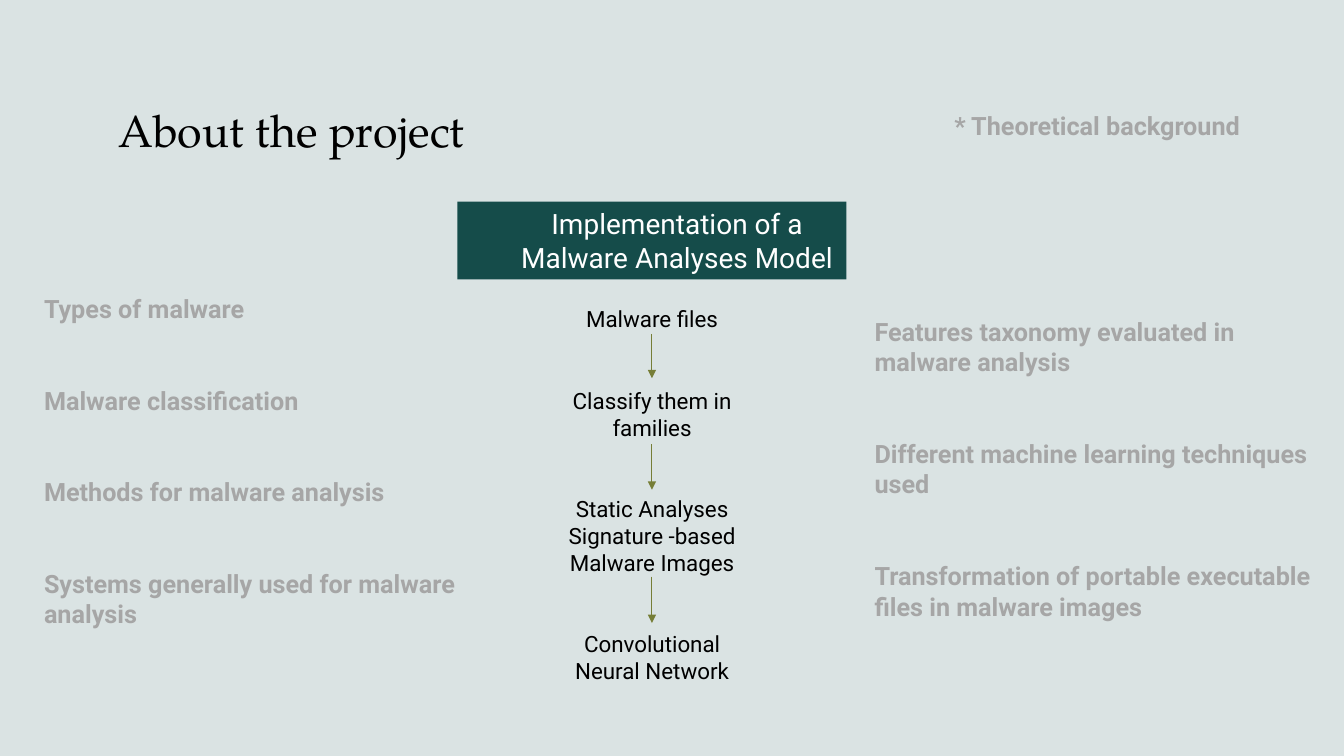
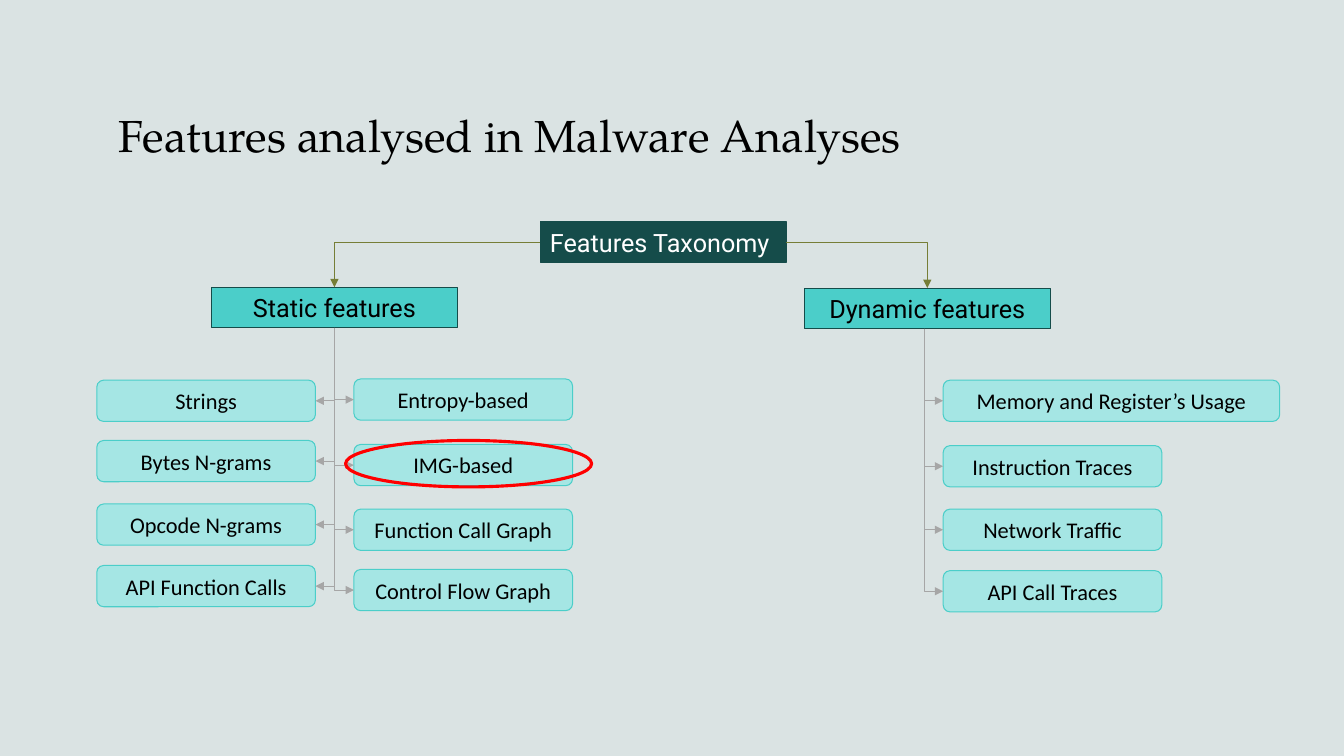
"""Two slides on malware analysis: project overview and feature taxonomy."""
from lxml import etree
from pptx import Presentation
from pptx.dml.color import RGBColor
from pptx.enum.shapes import MSO_CONNECTOR, MSO_SHAPE
from pptx.enum.text import MSO_ANCHOR, MSO_AUTO_SIZE, PP_ALIGN
from pptx.oxml.ns import qn
from pptx.util import Cm, Pt

RECT, ROUND, OVAL = MSO_SHAPE.RECTANGLE, MSO_SHAPE.ROUNDED_RECTANGLE, MSO_SHAPE.OVAL
STRAIGHT, ELBOW = MSO_CONNECTOR.STRAIGHT, MSO_CONNECTOR.ELBOW
LEFT, CENTER = PP_ALIGN.LEFT, PP_ALIGN.CENTER
BOTTOM, MIDDLE = MSO_ANCHOR.BOTTOM, MSO_ANCHOR.MIDDLE
NO_FIT = MSO_AUTO_SIZE.NONE

BACKGROUND = RGBColor(0xDA, 0xE3, 0xE3)
DARK_TEAL = RGBColor(0x15, 0x4C, 0x4A)
TEAL = RGBColor(0x4B, 0xCE, 0xC9)
PALE_TEAL = RGBColor(0xA5, 0xE6, 0xE4)
OLIVE = RGBColor(0x76, 0x7E, 0x37)
GRAY = RGBColor(0xA6, 0xA6, 0xA6)
RED = RGBColor(0xFF, 0x00, 0x00)
BLACK = RGBColor(0x00, 0x00, 0x00)
WHITE = RGBColor(0xFF, 0xFF, 0xFF)
TITLE_FONT, BODY_FONT, LEAF_FONT = "TeX Gyre Pagella", "Roboto", "Calibri"

PROJECT_TITLE = "About the project"
MODEL = "Implementation of a Malware Analyses Model"
STEPS = [
    ["Malware files"],
    ["Classify them in families"],
    ["Static Analyses", "Signature -based", "Malware Images"],
    ["Convolutional Neural Network"],
]
STEP_ARROWS = [(8.41, 9.53), (11.2, 12.34), (14.53, 15.7)]
THEORY_HEADING = [["* Theoretical background"]]
THEORY_LEFT = [
    ["Types of malware"],
    ["Malware classification"],
    ["Methods for malware analysis"],
    ["Systems generally used for malware analysis"],
]
THEORY_RIGHT = [
    ["Features taxonomy evaluated in malware analysis"],
    ["Different machine learning techniques used"],
    ["Transformation of portable executable files in malware images"],
]

TAXONOMY_TITLE = "Features analysed in Malware Analyses"
ROOT = "Features Taxonomy"
ROOT_BOX = (13.61, 5.59, 6.2, 1.02)
BRANCH_W, BRANCH_H = 6.2, 1.02
LEAF_W, WIDE_LEAF_W, LEAF_H = 5.51, 8.48, 1.04
BRANCHES = [
    {"name": "Static features", "left": 5.33, "top": 7.24, "trunk": 8.43, "columns": [
        (2.44, [("Strings", 9.58, LEAF_W), ("Bytes N-grams", 11.1, LEAF_W),
                ("Opcode N-grams", 12.7, LEAF_W), ("API Function Calls", 14.25, LEAF_W)]),
        (8.92, [("Entropy-based", 9.55, LEAF_W), ("IMG-based", 11.2, LEAF_W),
                ("Function Call Graph", 12.83, LEAF_W), ("Control Flow Graph", 14.35, LEAF_W)]),
    ]},
    {"name": "Dynamic features", "left": 20.27, "top": 7.26, "trunk": 23.29, "columns": [
        (23.77, [("Memory and Register’s Usage", 9.58, WIDE_LEAF_W),
                 ("Instruction Traces", 11.23, LEAF_W),
                 ("Network Traffic", 12.83, LEAF_W), ("API Call Traces", 14.38, LEAF_W)]),
    ]},
]
HIGHLIGHT = (8.71, 11.1, 6.2, 1.17)


def add_run(p, text, font, size, color, bold=False):
    """Add one formatted run to a paragraph."""
    r = p.add_run()
    r.text = text
    r.font.name, r.font.size, r.font.bold = font, Pt(size), bold
    r.font.color.rgb = color


def add_slide(prs, title, top):
    """Add a title-only slide with the shared title style."""
    s = prs.slides.add_slide(prs.slide_layouts[5])
    sp = s.shapes.title
    sp.left, sp.top, sp.width, sp.height = Cm(2.74), Cm(top), Cm(28.37), Cm(3.1)
    tf = sp.text_frame
    tf.auto_size, tf.vertical_anchor = NO_FIT, BOTTOM
    p = tf.paragraphs[0]
    p.alignment = LEFT
    add_run(p, title, TITLE_FONT, 32, BLACK)
    return s


def add_groups(s, box, groups, size, color, gap=0, align=LEFT, bold=False):
    """Add a text box of paragraph groups separated by a gap in points."""
    tf = s.shapes.add_textbox(*map(Cm, box)).text_frame
    tf.word_wrap = True
    p = None
    for i, group in enumerate(groups):
        for j, text in enumerate(group):
            p = tf.add_paragraph() if p is not None else tf.paragraphs[0]
            p.alignment = align
            if i and not j:
                p.space_before = Pt(gap)
            add_run(p, text, BODY_FONT, size, color, bold)


def add_outline(s, kind, box, fill=None, line=None, width=0.75):
    """Add a preset shape with optional fill and line."""
    sp = s.shapes.add_shape(kind, *map(Cm, box))
    sp.shadow.inherit = False
    if fill is None:
        sp.fill.background()
    else:
        sp.fill.solid()
        sp.fill.fore_color.rgb = fill
    if line is None:
        sp.line.fill.background()
    else:
        sp.line.color.rgb = line
        sp.line.width = Pt(width)
    return sp


def add_box(s, kind, box, text, fill, line, size, color, font=BODY_FONT, align=CENTER):
    """Add a filled shape with one paragraph and return that paragraph."""
    tf = add_outline(s, kind, box, fill, line).text_frame
    tf.word_wrap, tf.vertical_anchor = True, MIDDLE
    p = tf.paragraphs[0]
    p.alignment = align
    add_run(p, text, font, size, color)
    return p


def add_arrow(s, kind, x1, y1, x2, y2, color):
    """Add an arrow; an elbow runs horizontally first, then vertically."""
    c = s.shapes.add_connector(kind, Cm(x1), Cm(y1), Cm(x2), Cm(y2))
    c.line.color.rgb, c.line.width = color, Pt(0.75)
    sp_pr = c._element.spPr
    etree.SubElement(sp_pr.find(qn("a:ln")), qn("a:tailEnd"), type="triangle")
    etree.SubElement(sp_pr, qn("a:effectLst"))
    if kind == ELBOW:
        sp_pr.find(qn("a:prstGeom")).set("prst", "bentConnector2")
    return c


def add_drop_arrow(s, x1, y1, x2, y2, color):
    """Add an elbow arrow that runs down first, then sideways."""
    mid_x, mid_y = (x1 + x2) / 2, (y1 + y2) / 2
    half_w, half_h = (y2 - y1) / 2, abs(x2 - x1) / 2
    side = 1 if x2 > x1 else -1
    c = add_arrow(s, ELBOW, mid_x + side * half_w, mid_y - half_h,
                  mid_x - side * half_w, mid_y + half_h, color)
    angle = 270 if side > 0 else 90
    c._element.spPr.find(qn("a:xfrm")).set("rot", str(angle * 60000))


def build_project(prs):
    """Build the project overview."""
    s = add_slide(prs, PROJECT_TITLE, 0.97)
    add_groups(s, (21.79, 7.85, 11.66, 11), THEORY_RIGHT, 18, GRAY, 44, bold=True)
    add_groups(s, (13.92, 7.57, 5.03, 10.52), STEPS, 16, BLACK, 39, CENTER)
    p = add_box(s, RECT, (11.53, 5.08, 9.8, 1.96), MODEL, DARK_TEAL, None, 20, WHITE)
    p.level = 1
    p._p.get_or_add_pPr().set("marL", str(Cm(1.27)))
    for y1, y2 in STEP_ARROWS:
        add_arrow(s, STRAIGHT, 16.43, y1, 16.43, y2, OLIVE)
    add_groups(s, (0.86, 7.26, 11.23, 11.02), THEORY_LEFT, 18, GRAY, 44, bold=True)
    add_groups(s, (23.8, 2.65, 8.97, 1.02), THEORY_HEADING, 18, GRAY, bold=True)


def build_taxonomy(prs):
    """Build the feature taxonomy tree."""
    s = add_slide(prs, TAXONOMY_TITLE, 1.09)
    add_box(s, RECT, ROOT_BOX, ROOT, DARK_TEAL, DARK_TEAL, 18, WHITE, align=LEFT)
    root_left, root_top, root_w, root_h = ROOT_BOX
    for branch in BRANCHES:
        left, top, trunk = branch["left"], branch["top"], branch["trunk"]
        add_box(s, RECT, (left, top, BRANCH_W, BRANCH_H), branch["name"],
                TEAL, DARK_TEAL, 18, BLACK)
        root_x = root_left if left < root_left else root_left + root_w
        add_arrow(s, ELBOW, root_x, root_top + root_h / 2, left + BRANCH_W / 2, top, OLIVE)
        for x, leaves in branch["columns"]:
            for text, y, w in leaves:
                add_box(s, ROUND, (x, y, w, LEAF_H), text, PALE_TEAL, TEAL,
                        16, BLACK, LEAF_FONT)
                end_x = x if x > trunk else x + w
                add_drop_arrow(s, trunk, top + BRANCH_H, end_x, y + LEAF_H / 2, GRAY)
    add_outline(s, OVAL, HIGHLIGHT, line=RED, width=2.25)


prs = Presentation()
prs.slide_width, prs.slide_height = Cm(33.87), Cm(19.05)
bg = prs.slide_master.background.fill
bg.solid()
bg.fore_color.rgb = BACKGROUND
build_project(prs)
build_taxonomy(prs)
prs.save("out.pptx")
